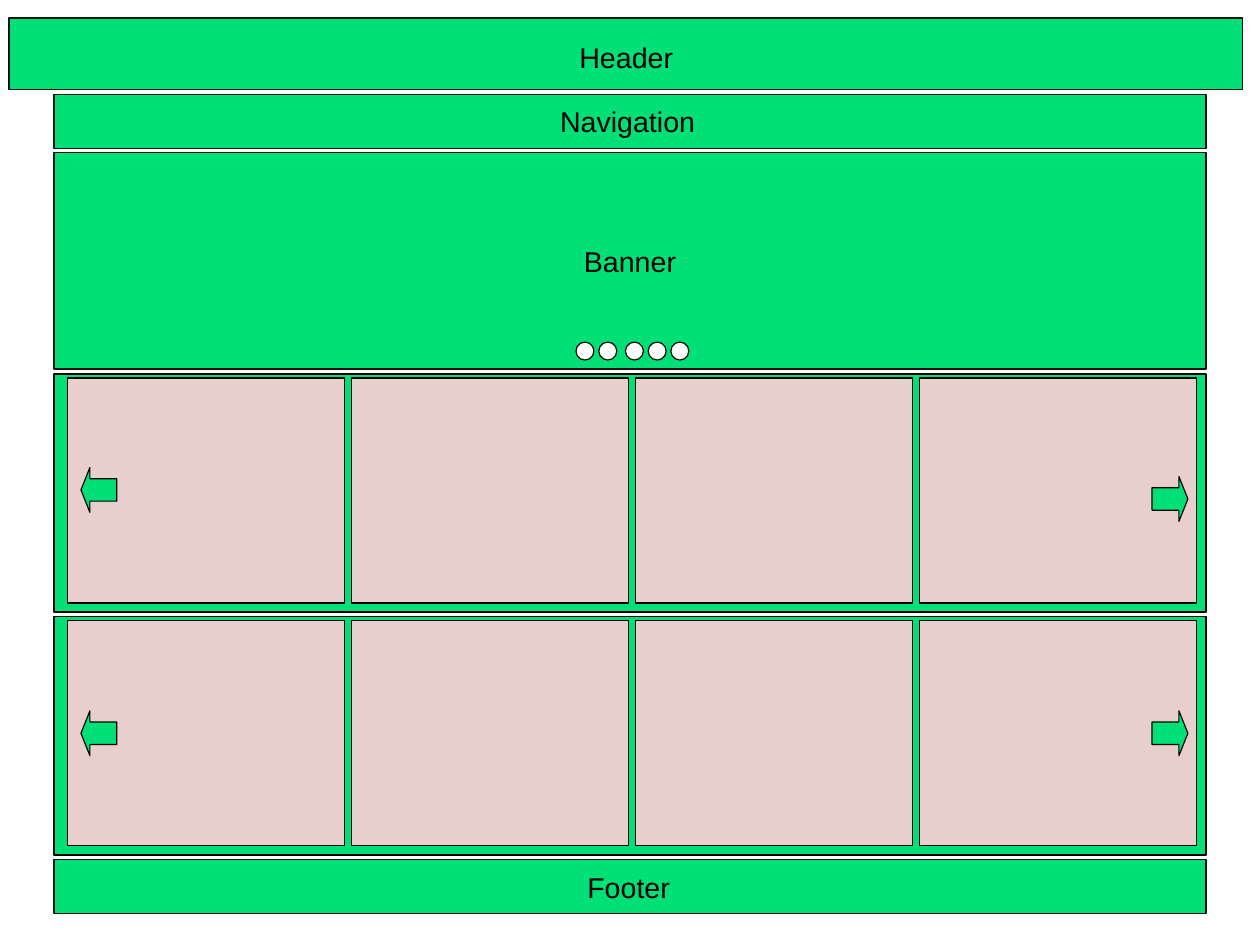
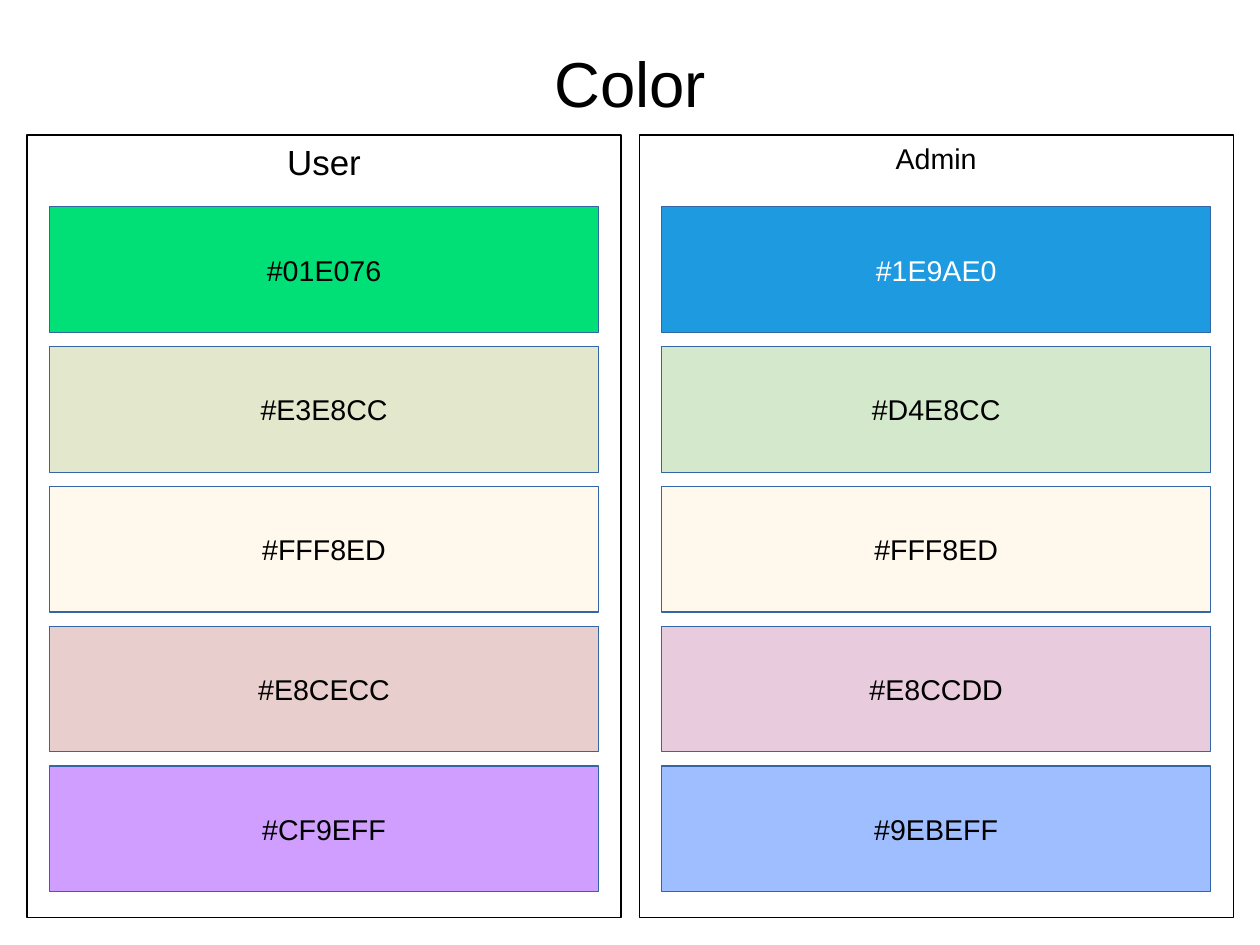
from pptx import Presentation
from pptx.dml.color import RGBColor
from pptx.enum.shapes import MSO_SHAPE as Shape
from pptx.enum.text import MSO_ANCHOR as Anchor, PP_ALIGN as Align
from pptx.util import Pt

# Shared style
FONT = "Arial"
GREEN, PINK, WHITE, BLACK = "01E076", "E8CECC", "FFFFFF", "000000"
DARK, BLUE = "111111", "3465A4"

# Wireframe: left, top, width, height
HEADER_BAR = (5.7, 11.4, 776.9, 45.3)
BAND_LEFT, BAND_WIDTH = 34, 725.7
NAVIGATION, BANNER, FOOTER = (59.7, 34), (96.3, 136.2), (541.4, 34)  # top, height
BAR_LABELS = [
    ("Header", 357.8, 22.4, 73.4),
    ("Navigation", 345.6, 62.7, 99.4),
    ("Footer", 362.9, 544.9, 66.2),
]
CAROUSELS = [  # band top, left arrow top, right arrow top
    (235.6, 294.5, 300.2),
    (388.6, 447.8, 447.8),
]
CAROUSEL_HEIGHT = 150
CARD_LEFT, CARD_STEP, CARD_COUNT = 42.5, 178.9, 4
CARD_INSET, CARD_WIDTH, CARD_HEIGHT = 2.5, 174.5, 141.8
LEFT_ARROW, RIGHT_ARROW, ARROW_SIZE = 51, 725.7, (22.6, 28.3)
DOT_LEFTS, DOT_TOP, DOT_SIZE = [362.8, 377.2, 394, 408.3, 422.6], 215.5, 11.3

# Palettes: name, name size, panel left, swatches as (fill, text colour)
PALETTES = [
    ("User", 22, 17, [("01E076", BLACK), ("E3E8CC", BLACK), ("FFF8ED", BLACK),
                      ("E8CECC", BLACK), ("CF9EFF", BLACK)]),
    ("Admin", 18, 402.6, [("1E9AE0", WHITE), ("D4E8CC", BLACK), ("FFF8ED", BLACK),
                          ("E8CCDD", BLACK), ("9EBEFF", BLACK)]),
]
PANEL_TOP, PANEL_WIDTH, PANEL_HEIGHT = 85, 374.2, 493.2
SWATCH_INSET, SWATCH_TOP, SWATCH_STEP = 14.2, 130.3, 88.05
SWATCH_WIDTH, SWATCH_HEIGHT = 345.8, 79.2


def rgb(value):
    return RGBColor.from_string(value)


def write(box, text, size=18, color=BLACK, anchor=Anchor.MIDDLE):
    frame = box.text_frame
    frame.word_wrap = False
    frame.vertical_anchor = anchor
    para = frame.paragraphs[0]
    para.alignment = Align.CENTER
    span = para.add_run()
    span.text = text
    span.font.name = FONT
    span.font.size = Pt(size)
    span.font.color.rgb = rgb(color)


def add_box(page, left, top, width, height, fill=GREEN, line=BLACK, kind=Shape.RECTANGLE):
    box = page.shapes.add_shape(kind, Pt(left), Pt(top), Pt(width), Pt(height))
    box.shadow.inherit = False
    box.fill.solid()
    box.fill.fore_color.rgb = rgb(fill)
    box.line.color.rgb = rgb(line)
    box.line.width = Pt(0)
    return box


def add_label(page, text, left, top, width, height, size=18):
    box = page.shapes.add_textbox(Pt(left), Pt(top), Pt(width), Pt(height))
    write(box, text, size)


def add_band(page, top, height, line=DARK):
    return add_box(page, BAND_LEFT, top, BAND_WIDTH, height, line=line)


def add_arrow(page, kind, left, top):
    arrow = add_box(page, left, top, *ARROW_SIZE, kind=kind)
    arrow.adjustments[0] = 0.5
    arrow.adjustments[1] = 0.25


def build_wireframe(page):
    # Bars and banner
    add_box(page, *HEADER_BAR, line=DARK)
    add_band(page, *NAVIGATION)
    write(add_band(page, *BANNER), "Banner")
    add_band(page, *FOOTER)
    for text, left, top, width in BAR_LABELS:
        add_label(page, text, left, top, width, 27.4)
    # Carousels of cards
    for top, left_arrow_top, right_arrow_top in CAROUSELS:
        add_band(page, top, CAROUSEL_HEIGHT, BLACK)
        for column in range(CARD_COUNT):
            add_box(page, CARD_LEFT + column * CARD_STEP, top + CARD_INSET,
                    CARD_WIDTH, CARD_HEIGHT, PINK)
        add_arrow(page, Shape.LEFT_ARROW, LEFT_ARROW, left_arrow_top)
        add_arrow(page, Shape.RIGHT_ARROW, RIGHT_ARROW, right_arrow_top)
    # Banner dots
    for left in DOT_LEFTS:
        add_box(page, left, DOT_TOP, DOT_SIZE, DOT_SIZE, WHITE, kind=Shape.OVAL)


def build_palettes(page):
    add_label(page, "Color", 39.7, 23.8, 714.3, 55.4, 40)
    for name, size, left, swatches in PALETTES:
        panel = add_box(page, left, PANEL_TOP, PANEL_WIDTH, PANEL_HEIGHT, WHITE)
        write(panel, name, size, anchor=Anchor.TOP)
        for row, (fill, color) in enumerate(swatches):
            swatch = add_box(page, left + SWATCH_INSET, SWATCH_TOP + row * SWATCH_STEP,
                             SWATCH_WIDTH, SWATCH_HEIGHT, fill, BLUE)
            write(swatch, "#" + fill, color=color)


def main():
    deck = Presentation()
    deck.slide_width, deck.slide_height = Pt(793.7), Pt(595.28)
    for build in (build_wireframe, build_palettes):
        build(deck.slides.add_slide(deck.slide_layouts[6]))
    deck.save("out.pptx")


if __name__ == "__main__":
    main()
